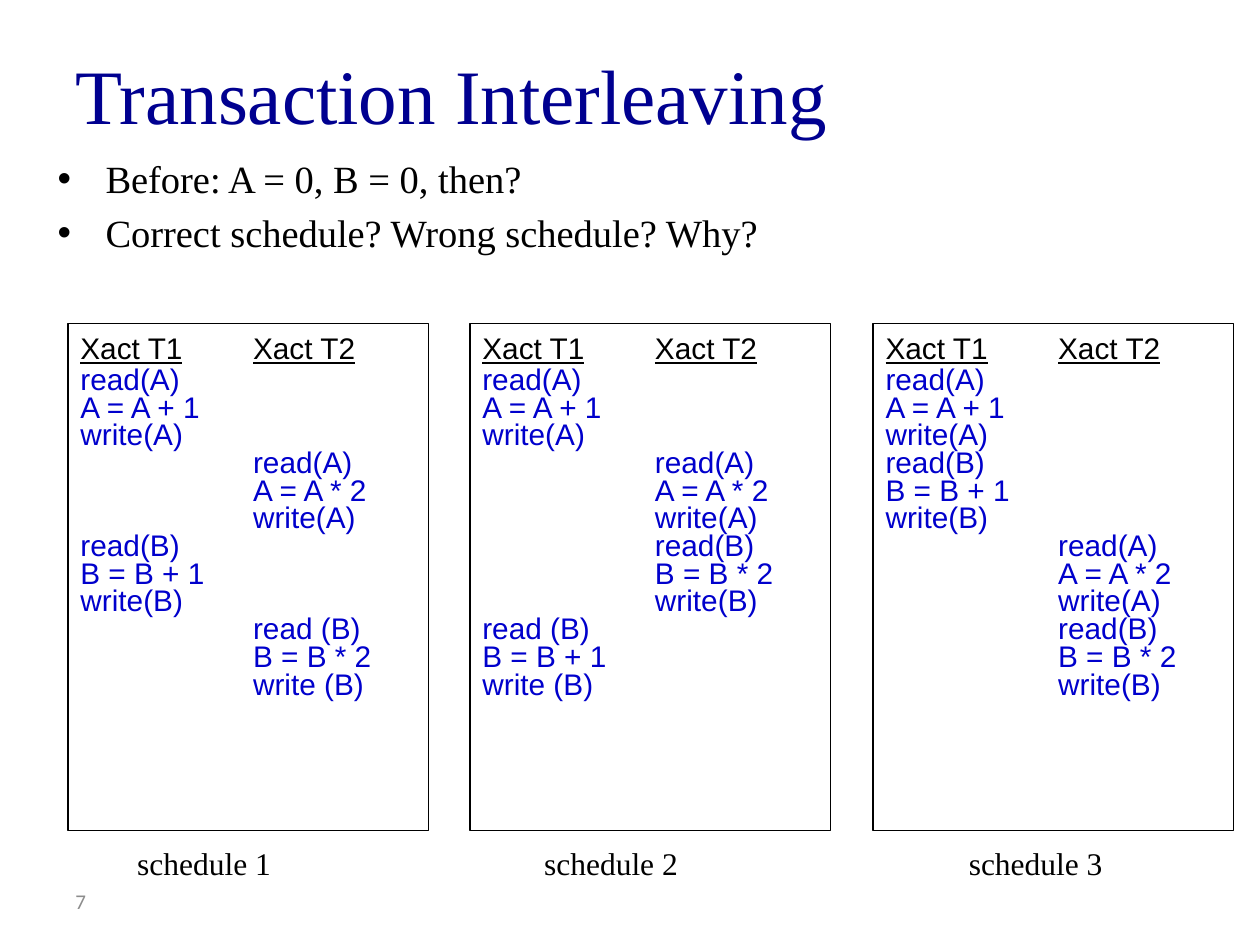
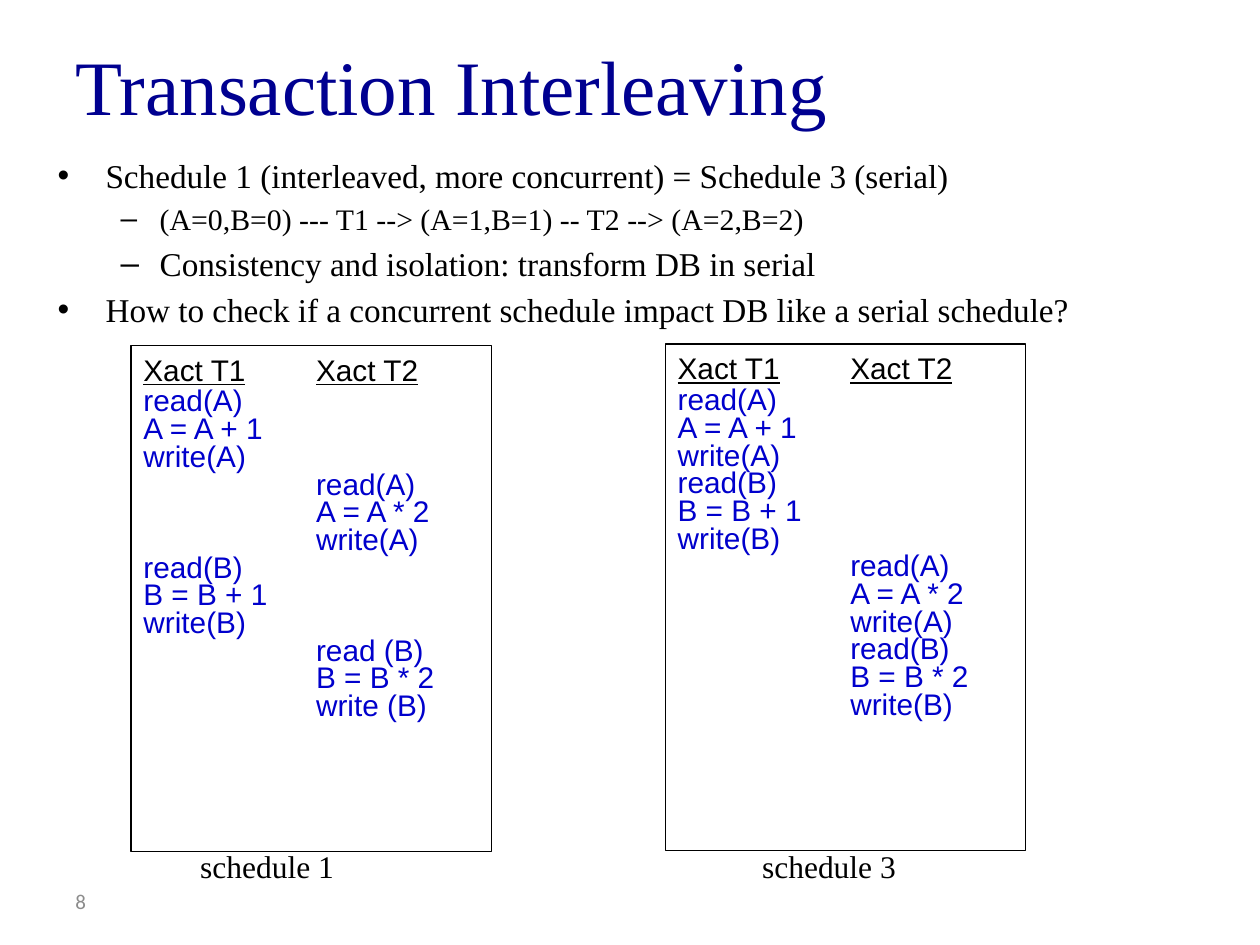
from dataclasses import dataclass

from lxml import etree
from pptx import Presentation
from pptx.dml.color import RGBColor
from pptx.enum.shapes import MSO_SHAPE
from pptx.enum.text import MSO_ANCHOR, MSO_AUTO_SIZE, PP_ALIGN
from pptx.oxml.ns import qn
from pptx.util import Inches, Pt

RECTANGLE = MSO_SHAPE.RECTANGLE
TOP, MIDDLE = MSO_ANCHOR.TOP, MSO_ANCHOR.MIDDLE
LEFT = PP_ALIGN.LEFT
FIT_SHAPE, FIT_NONE = MSO_AUTO_SIZE.SHAPE_TO_FIT_TEXT, MSO_AUTO_SIZE.NONE

# Grid: 100 columns by 75 rows on a 10 by 7.5 inch slide
COLUMNS, ROWS = 100, 75
CELL = Inches(0.1)


@dataclass(frozen=True)
class Theme:
    """Colours, fonts and type sizes shared by the slides."""
    title_color: str = "000090"
    text_color: str = "000000"
    code_color: str = "0000CC"
    number_color: str = "8C8C8C"
    serif: str = "Times New Roman"
    sans: str = "Arial"
    number_font: str = "Calibri"
    title_size: int = 44
    caption_size: int = 18
    code_size: int = 17
    number_size: int = 12
    border: float = 0.75


THEME = Theme()

# Text styles: font name, size, colour
STYLES = {
    "title": (THEME.serif, THEME.title_size, THEME.title_color),
    "caption": (THEME.serif, THEME.caption_size, THEME.text_color),
    "heading": (THEME.sans, THEME.code_size, THEME.text_color),
    "code": (THEME.sans, THEME.code_size, THEME.code_color),
    "number": (THEME.number_font, THEME.number_size, THEME.number_color),
}

# Bullet levels: character, left margin and hanging indent in columns
BULLETS = [("\u2022", 3.8, 3.8), ("\u2013", 8.1, 3.1)]
BULLET_SPACE, CODE_SPACE = 20, 45  # percent before a paragraph
CODE_LINE = 0.4
SECOND_COLUMN = 13.7

# Panel and caption sizes in cells
PANEL_SIZE = (28.6, 40.2)
CAPTION_SIZE = (16.2, 5)

HEADINGS = ("Xact T1", "Xact T2")
CHANGES = ("+ 1", "* 2")  # what T1 and T2 do to an item

# Each block: transaction index, data item, gap before the bracket
SCHEDULES = {
    "schedule 1": [(0, "A", ""), (1, "A", ""), (0, "B", ""), (1, "B", " ")],
    "schedule 2": [(0, "A", ""), (1, "A", ""), (1, "B", ""), (0, "B", " ")],
    "schedule 3": [(0, "A", ""), (0, "B", ""), (1, "A", ""), (1, "B", "")],
}

# Bullets: level, size, text. Panels: schedule, left, top, caption left
SLIDES = [
    {
        "number": "7", "title": "Transaction Interleaving", "title_top": 3,
        "bullets": [
            (0, 22, "Before: A = 0, B = 0, then?"),
            (0, 22, "Correct schedule? Wrong schedule? Why?"),
        ],
        "panels": [
            ("schedule 1", 5.4, 25.7, 9.9),
            ("schedule 2", 37.3, 25.7, 42.2),
            ("schedule 3", 69.3, 25.7, 75.9),
        ],
        "caption_top": 66,
    },
    {
        "number": "8", "title": "Transaction Interleaving", "title_top": 2.3,
        "bullets": [
            (0, 19, "Schedule 1 (interleaved, more concurrent) = Schedule 3 (serial)"),
            (1, 17, "(A=0,B=0) --- T1 --> (A=1,B=1) -- T2 --> (A=2,B=2)"),
            (1, 19, "Consistency and isolation: transform DB in serial"),
            (0, 19, "How to check if a concurrent schedule impact DB "
                    "like a serial schedule?"),
        ],
        "panels": [
            ("schedule 1", 10.4, 27.4, 14.9),
            ("schedule 3", 52.8, 27.3, 59.5),
        ],
        "caption_top": 66.2,
    },
]


def cells(*values):
    """Turn grid cells into slide lengths."""
    return [int(value * CELL) for value in values]


def apply(target, values):
    """Set every attribute in a dict of format values."""
    for name, value in values.items():
        setattr(target, name, value)


def add_run(paragraph, text, style, underline=False):
    """Add a run in a font, size and colour."""
    font_name, size, color = style
    run = paragraph.add_run()
    run.text = text
    apply(run.font, {"name": font_name, "size": Pt(size), "underline": underline})
    run.font.color.rgb = RGBColor.from_string(color)


def shape_paragraph(paragraph, margin, hanging, space, bullet=None):
    """Set indents, percent space before and an optional bullet."""
    paragraph.alignment = LEFT
    properties = paragraph._p.get_or_add_pPr()
    left, indent = cells(margin, -hanging)
    properties.set("marL", str(left))
    properties.set("indent", str(indent))
    before = etree.SubElement(properties, qn("a:spcBef"))
    etree.SubElement(before, qn("a:spcPct")).set("val", str(space * 1000))
    if bullet:
        etree.SubElement(properties, qn("a:buFont")).set("typeface", THEME.sans)
        etree.SubElement(properties, qn("a:buChar")).set("char", bullet)


def next_paragraph(frame, index):
    """Return the first paragraph of a frame, or a new one after it."""
    return frame.add_paragraph() if index else frame.paragraphs[0]


def add_text(slide, place, text, style, anchor=MIDDLE, wrap=True, fit=FIT_NONE):
    """Add a text box with one line of text."""
    frame = slide.shapes.add_textbox(*cells(*place)).text_frame
    apply(frame, {"word_wrap": wrap, "auto_size": fit, "vertical_anchor": anchor})
    add_run(frame.paragraphs[0], text, STYLES[style])


def add_bullets(slide, bullets):
    """Add the bulleted text under the title."""
    frame = slide.shapes.add_textbox(*cells(3.6, 11.8, 96.4, 54.2)).text_frame
    apply(frame, {"word_wrap": True, "vertical_anchor": TOP})
    for index, (level, size, text) in enumerate(bullets):
        paragraph = next_paragraph(frame, index)
        paragraph.level = level
        character, margin, hanging = BULLETS[level]
        shape_paragraph(paragraph, margin, hanging, BULLET_SPACE, character)
        add_run(paragraph, text, (THEME.serif, size, THEME.text_color))


def schedule_lines(blocks):
    """List the code lines of a schedule, T2 behind a tab."""
    return ["\t" * transaction + step
            for transaction, item, gap in blocks
            for step in (f"read{gap}({item})",
                         f"{item} = {item} {CHANGES[transaction]}",
                         f"write{gap}({item})")]


def add_panel(slide, left, top, blocks):
    """Add a framed schedule with its two transactions."""
    panel = slide.shapes.add_shape(RECTANGLE, *cells(left, top, *PANEL_SIZE))
    panel.shadow.inherit = False
    panel.fill.background()
    panel.line.color.rgb = RGBColor.from_string(THEME.text_color)
    panel.line.width = Pt(THEME.border)
    frame = panel.text_frame
    side, edge, bottom = cells(1, 0.5, 3.5)
    apply(frame, {"margin_left": side, "margin_right": side, "margin_top": edge,
                  "margin_bottom": bottom, "word_wrap": True,
                  "vertical_anchor": TOP})
    heading = frame.paragraphs[0]
    shape_paragraph(heading, SECOND_COLUMN, SECOND_COLUMN, CODE_SPACE)
    first, second = HEADINGS
    for text in (first, "\t", second):
        add_run(heading, text, STYLES["heading"], underline=text != "\t")
    for line in schedule_lines(blocks):
        paragraph = frame.add_paragraph()
        shape_paragraph(paragraph, SECOND_COLUMN, SECOND_COLUMN, CODE_SPACE)
        paragraph.line_spacing = CODE_LINE
        add_run(paragraph, line, STYLES["code"])


def build_slide(presentation, content):
    """Build one slide from its content."""
    slide = presentation.slides.add_slide(presentation.slide_layouts[6])
    add_text(slide, (5, 69.5, 23.3, 4), content["number"], "number")
    add_text(slide, (5, content["title_top"], 90, 8.8), content["title"], "title")
    add_bullets(slide, content["bullets"])
    for name, left, top, caption_left in content["panels"]:
        add_panel(slide, left, top, SCHEDULES[name])
        add_text(slide, (caption_left, content["caption_top"], *CAPTION_SIZE),
                 name, "caption", wrap=False, fit=FIT_SHAPE)


def main():
    """Build the presentation and save it."""
    presentation = Presentation()
    width, height = cells(COLUMNS, ROWS)
    apply(presentation, {"slide_width": width, "slide_height": height})
    for content in SLIDES:
        build_slide(presentation, content)
    presentation.save("out.pptx")


main()
